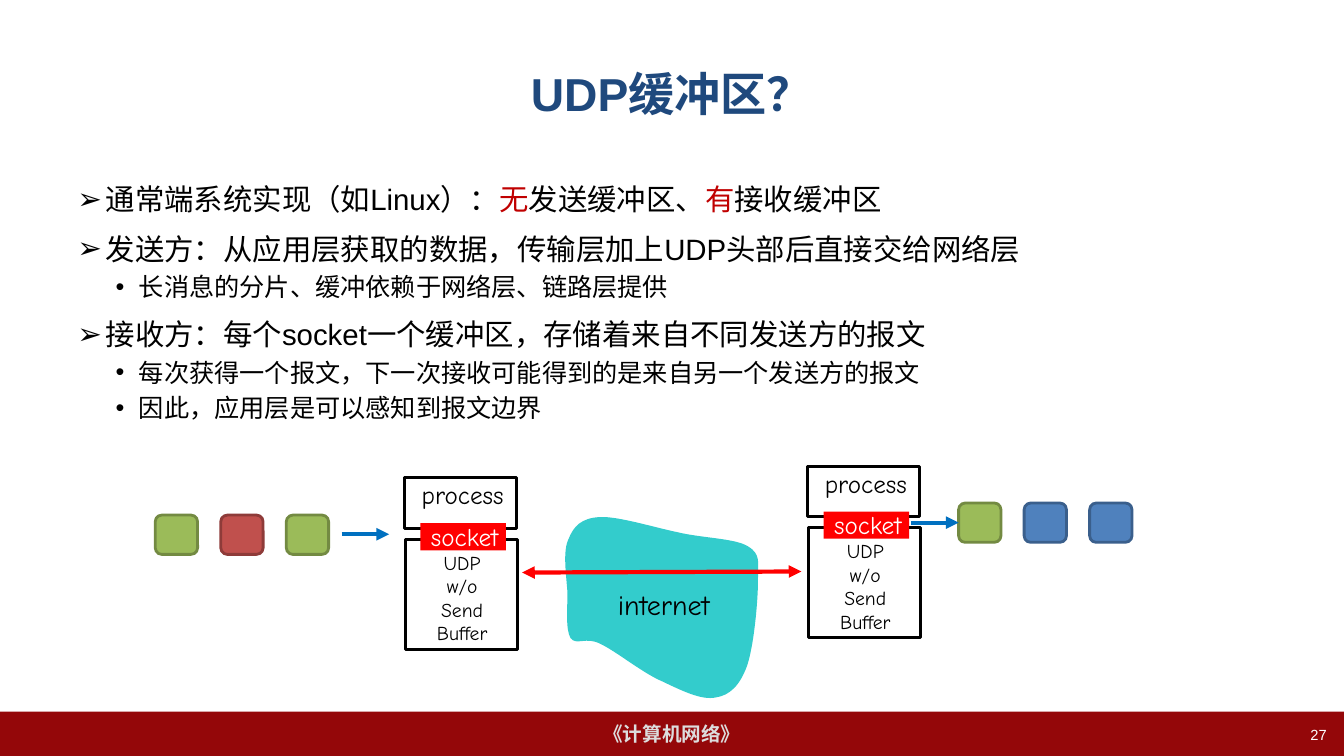
from dataclasses import dataclass
from typing import NamedTuple, Optional

from lxml.etree import SubElement
from pptx import Presentation
from pptx.dml.color import RGBColor as Rgb
from pptx.enum.shapes import MSO_CONNECTOR as Connector, MSO_SHAPE as Preset
from pptx.enum.text import MSO_ANCHOR as Anchor, PP_ALIGN as Align
from pptx.oxml.ns import qn
from pptx.util import Inches, Pt

CELL = Inches(0.1)  # side of one grid cell
COLUMNS, ROWS = 133.33, 75

COLORS = {
    "band": "940709", "footer": "DDDDDD", "title": "1F497D", "emphasis": "C00000",
    "black": "000000", "white": "FFFFFF", "socket": "FF0000", "cloud": "33CCCC",
    "flow": "0070C0", "green": "9BBB59", "green edge": "738A42",
    "red": "C0504D", "red edge": "8E3B39", "blue": "4F81BD", "blue edge": "3A5F8C",
}


class Area(NamedTuple):
    column: float
    row: float
    columns: float
    rows: float

    def shifted(self, columns: float, rows: float) -> "Area":
        return self._replace(column=self.column + columns, row=self.row + rows)

    def emu(self) -> list:
        return [cells(value) for value in self]


@dataclass
class Style:
    size: float
    color: str
    name: str = "Arial"
    bold: bool = False


@dataclass
class Level:
    size: float
    bullet: str
    margin: float
    hanging: float
    before: float


@dataclass
class Point:
    level: int
    pieces: list  # plain and emphasised wording in turn


@dataclass
class PacketRow:
    column: float
    row: float
    colors: list


LEVELS = [Level(21, "➢", 2.8, 2.8, 10.3), Level(18, "•", 6.1, 2.3, 3.8)]
POINTS = [
    Point(0, ["通常端系统实现（如Linux）：", "无", "发送缓冲区、", "有", "接收缓冲区"]),
    Point(0, ["发送方：从应用层获取的数据，传输层加上UDP头部后直接交给网络层"]),
    Point(1, ["长消息的分片、缓冲依赖于网络层、链路层提供"]),
    Point(0, ["接收方：每个socket一个缓冲区，存储着来自不同发送方的报文"]),
    Point(1, ["每次获得一个报文，下一次接收可能得到的是来自另一个发送方的报文"]),
    Point(1, ["因此，应用层是可以感知到报文边界"]),
]
HOST_SHIFTS = [(0, 0), (40, -1.15)]
SENT = PacketRow(15.4, 51.1, ["green", "red", "green"])
RECEIVED = PacketRow(95.1, 49.9, ["green", "blue", "blue"])
PACKET_PITCH, PACKET_WIDTH, PACKET_HEIGHT = 6.5, 4.2, 3.9

CLOUD_START = (59.5, 51.3)
CLOUD_CURVES = [
    ((57.7, 51.4), (56.9, 52.2), (56.4, 53.5)), ((55.8, 54.7), (56.2, 57.2), (56.3, 58.8)),
    ((56.3, 60.4), (56.1, 62.4), (56.6, 63.3)), ((57.2, 64.1), (58.1, 63.1), (59.6, 63.9)),
    ((61.1, 64.6), (63.8, 66.8), (65.7, 67.6)), ((67.6, 68.5), (69.6, 69.5), (71, 69.2)),
    ((72.4, 69), (73.4, 68), (74.1, 66.1)), ((74.8, 64.1), (75.2, 59.6), (75.2, 57.7)),
    ((75.2, 55.7), (75.5, 55), (74.2, 54.2)), ((72.9, 53.4), (69.7, 53.4), (67.2, 52.8)),
    ((64.8, 52.3), (61.3, 51.2), (59.5, 51.3)),
]


def cells(count: float) -> int:
    return round(count * CELL)


def rgb(color: str) -> Rgb:
    return Rgb.from_string(COLORS[color])


def add_run(paragraph, wording: str, style: Style) -> None:
    run = paragraph.add_run()
    run.text = wording
    values = {"name": style.name, "size": Pt(style.size), "bold": style.bold}
    for attribute, value in values.items():
        setattr(run.font, attribute, value)
    run.font.color.rgb = rgb(style.color)


def write(frame, lines: list, style: Style, align=Align.CENTER,
          anchor=Anchor.MIDDLE, wrap: bool = False) -> None:
    frame.word_wrap, frame.vertical_anchor = wrap, anchor
    for index, line in enumerate(lines):
        paragraph = frame.add_paragraph() if index else frame.paragraphs[0]
        paragraph.alignment = align
        add_run(paragraph, line, style)


def add_label(shapes, area: Area, lines: list, style: Style, **layout) -> None:
    write(shapes.add_textbox(*area.emu()).text_frame, lines, style, **layout)


def add_box(shapes, area: Area, fill: Optional[str], edge: Optional[str] = None,
            width: float = 2.25, preset=Preset.RECTANGLE):
    box = shapes.add_shape(preset, *area.emu())
    paint(box, fill, edge, width)
    return box


def paint(shape, fill: Optional[str], edge: Optional[str] = None, width: float = 2.25) -> None:
    shape.shadow.inherit = False
    if fill:
        shape.fill.solid()
        shape.fill.fore_color.rgb = rgb(fill)
    else:
        shape.fill.background()
    if edge:
        shape.line.color.rgb = rgb(edge)
        shape.line.width = Pt(width)
    else:
        shape.line.fill.background()


def add_arrow(shapes, start: tuple, end: tuple, color: str, ends: tuple = ("tailEnd",)):
    arrow = shapes.add_connector(Connector.STRAIGHT, *map(cells, start + end))
    arrow.line.color.rgb = rgb(color)
    arrow.line.width = Pt(3)
    for tip in ends:
        SubElement(arrow.line._get_or_add_ln(), qn(f"a:{tip}"), type="triangle")
    SubElement(arrow._element.spPr, qn("a:effectLst"))
    return arrow


def add_points(shapes) -> None:
    frame = shapes.add_textbox(*Area(6.7, 17.5, 120, 4.8).emu()).text_frame
    frame.word_wrap = True
    for index, point in enumerate(POINTS):
        level = LEVELS[point.level]
        paragraph = frame.add_paragraph() if index else frame.paragraphs[0]
        properties = paragraph._p.get_or_add_pPr()
        properties.set("marL", str(cells(level.margin)))
        properties.set("indent", str(-cells(level.hanging)))
        SubElement(properties, qn("a:buFont"), typeface="Arial")
        SubElement(properties, qn("a:buChar"), char=level.bullet)
        paragraph.level = point.level
        if index:
            paragraph.space_before = Pt(level.before)
        for order, wording in enumerate(point.pieces):
            color = "emphasis" if order % 2 else "black"
            add_run(paragraph, wording, Style(level.size, color))


def add_host(shapes, shift: tuple) -> None:
    """Draw one end system: process, socket and transport layer."""
    host = shapes.add_group_shape().shapes
    add_box(host, Area(40.1, 47.4, 11.15, 5).shifted(*shift), "white", "black")
    add_label(host, Area(40.4, 47.1, 11, 4).shifted(*shift), ["process"],
              Style(18, "black", "Comic Neue"))
    add_label(host, Area(41.7, 54.1, 8.3, 10.4).shifted(*shift),
              ["UDP", "w/o", "Send", "Buffer"], Style(14, "black", "Comic Neue"))
    add_box(host, Area(40.2, 53.5, 11.15, 10.9).shifted(*shift), None, "black")
    add_box(host, Area(41.7, 51.9, 8.5, 2.7).shifted(*shift), "socket")
    add_label(host, Area(41.25, 51.2, 9.7, 4).shifted(*shift), ["socket"],
              Style(18, "white", "Comic Neue"))


def add_packets(shapes, packets: PacketRow) -> list:
    first = Area(packets.column, packets.row, PACKET_WIDTH, PACKET_HEIGHT)
    return [
        add_box(shapes, first.shifted(index * PACKET_PITCH, 0), color, f"{color} edge", 2,
                Preset.ROUNDED_RECTANGLE)
        for index, color in enumerate(packets.colors)
    ]


def add_cloud(shapes) -> None:
    """Lay out the control points, then join each three into one cubic curve."""
    builder = shapes.build_freeform(*map(cells, CLOUD_START))
    builder.add_line_segments(
        [tuple(map(cells, point)) for curve in CLOUD_CURVES for point in curve], close=True)
    cloud = builder.convert_to_shape()
    segments = list(cloud._element.iter(qn("a:lnTo")))
    for first in range(0, len(segments), 3):
        trio = segments[first:first + 3]
        outline = trio[0].getparent()
        curve = SubElement(outline, qn("a:cubicBezTo"))
        outline.replace(trio[0], curve)
        for segment in trio:
            curve.append(segment[0])
        for segment in trio[1:]:
            outline.remove(segment)
    paint(cloud, "cloud")


def main() -> None:
    deck = Presentation()
    deck.slide_width, deck.slide_height = cells(COLUMNS), cells(ROWS)
    shapes = deck.slides.add_slide(deck.slide_layouts[6]).shapes

    footer = add_box(shapes, Area(0, 70.6, COLUMNS, 4.4), "band")
    write(footer.text_frame, ["《计算机网络》"], Style(14, "footer", bold=True))
    add_label(shapes, Area(6.67, 3, 120, 12.5), ["UDP缓冲区？"],
              Style(33, "title", bold=True), wrap=True)
    add_points(shapes)
    add_label(shapes, Area(101.5, 71.5, 31.1, 3.5), ["27"], Style(10.5, "white"),
              align=Align.RIGHT, anchor=Anchor.TOP, wrap=True)

    for shift in HOST_SHIFTS:
        add_host(shapes, shift)
    add_cloud(shapes)
    add_label(shapes, Area(59.5, 57.8, 12.7, 4.3), ["internet"],
              Style(20, "black", "Comic Neue"))
    add_arrow(shapes, (79.5, 56.7), (51.8, 56.8), "socket", ("headEnd", "tailEnd"))

    add_packets(shapes, SENT)
    add_arrow(shapes, (33.9, 53), (38.6, 53), "flow")
    delivered = add_packets(shapes, RECEIVED)[0]
    middle = RECEIVED.row + PACKET_HEIGHT / 2
    delivery = add_arrow(shapes, (90.4, middle), (RECEIVED.column, middle), "flow")
    delivery.end_connect(delivered, 1)

    deck.save("out.pptx")


if __name__ == "__main__":
    main()
